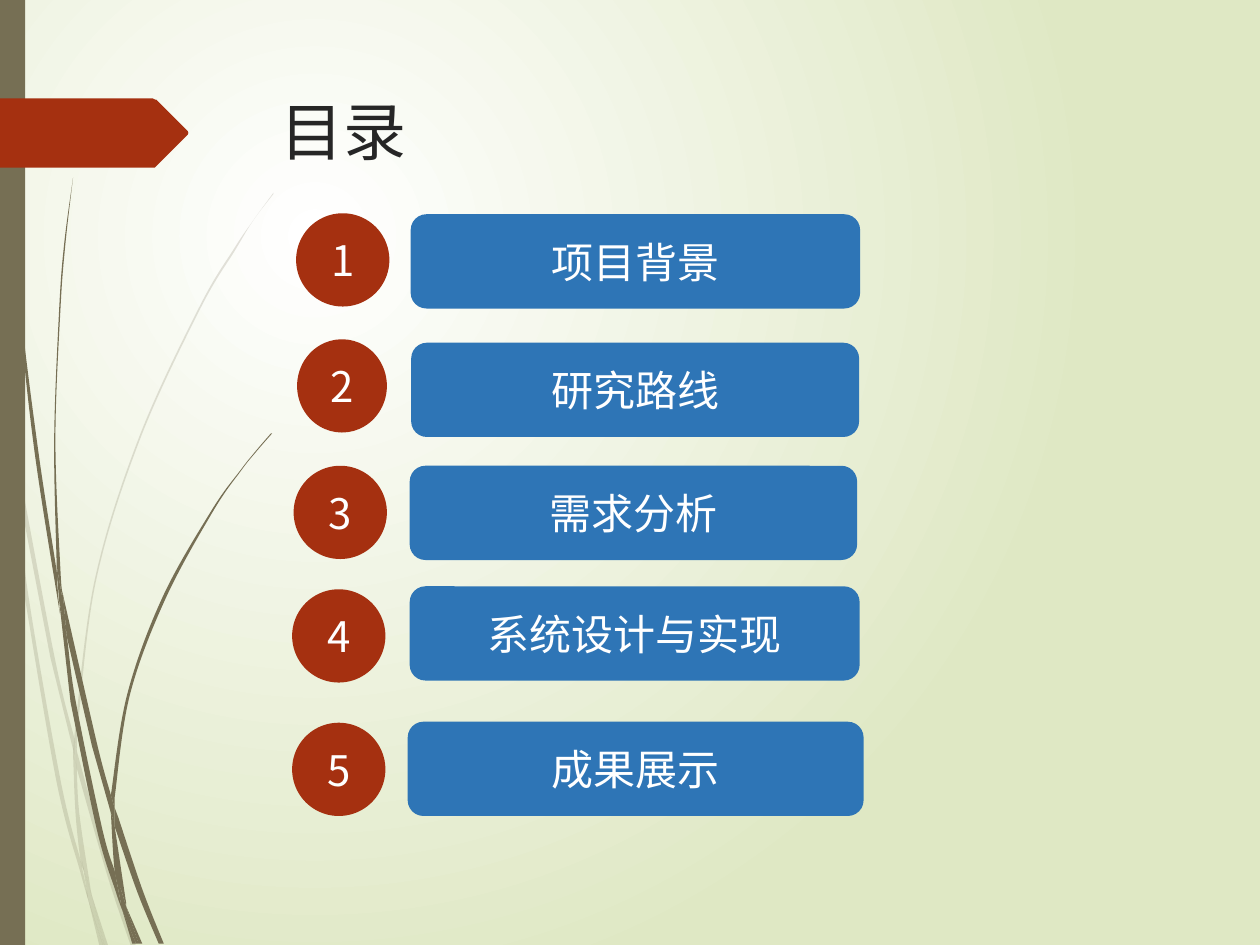
import lxml.etree
import pptx
import pptx.dml.color
import pptx.enum.shapes
import pptx.enum.text
import pptx.oxml.ns
import pptx.util

Cm = pptx.util.Cm
SHAPES = pptx.enum.shapes.MSO_SHAPE
qn = pptx.oxml.ns.qn

RED, BLUE, BROWN, WHITE, INK = "A53010", "2E75B6", "766F54", "FFFFFF", "262626"
BODY_FONT, TITLE_FONT = "Noto Sans CJK SC", "TeX Gyre Adventor"
CM_PER_INCH = 2.54

# Agenda: label, circle (left, top, width), bar (left, top, width), in cm
AGENDA = [
    ("项目背景", (5.97, 4.3, 1.88), (8.28, 4.32, 9.06)),
    ("研究路线", (5.99, 6.84, 1.81), (8.29, 6.91, 9.03)),
    ("需求分析", (5.92, 9.39, 1.88), (8.26, 9.39, 9.02)),
    ("系统设计与实现", (5.89, 11.88, 1.88), (8.26, 11.82, 9.07)),
    ("成果展示", (5.89, 14.57, 1.88), (8.22, 14.55, 9.19)),
]
CIRCLE_HEIGHT, BAR_HEIGHT = 1.88, 1.9

# Grass blades: each is a list of smooth edges, points in inches
PALE_BLADES = [
    [[(0.08, 3.5), (0.06, 3.22), (0, 2.82)], [(0, 2.99), (0.07, 3.44)]],
    [[(0.4, 5.22), (0.59, 5.99)], [(0.59, 5.86), (0.43, 5.2), (0.1, 3.45)],
     [(0.12, 3.76), (0.4, 5.22)]],
    [[(0.64, 6.07), (0.61, 5.96)], [(0.61, 6.1), (0.85, 6.94), (1.04, 7.51)],
     [(1.08, 7.51), (0.88, 6.92), (0.64, 6.07)]],
    [[(0.83, 7.51)], [(0.86, 7.51), (0.73, 7.11)]],
    [[(0.64, 6.83), (0.48, 6.19), (0.22, 4.69), (0.12, 3.76), (0.08, 3.5)],
     [(0.19, 4.7), (0.45, 6.21), (0.64, 6.93), (0.7, 7.14)], [(0.69, 7.07)]],
    [[(0.58, 5.99), (0.6, 6.46), (0.64, 6.83), (0.67, 6.92), (0.73, 7.11)],
     [(0.72, 7.06), (0.63, 6.46), (0.61, 6.1)], [(0.61, 6.08)]],
    [[(0.61, 5.84), (0.76, 4.62), (1.11, 3.49), (1.59, 2.45), (1.87, 1.98),
      (2.01, 1.75), (2.17, 1.54)],
     [(2.17, 1.53), (2.01, 1.75), (1.86, 1.97), (1.58, 2.44), (1.1, 3.48),
      (0.75, 4.61), (0.59, 5.84)], [(0.59, 5.86), (0.61, 5.96)]],
    [[(0.7, 7.14), (0.79, 7.51)], [(0.82, 7.51)]],
    [[(0.61, 6.08), (0.61, 6.1)], [(0.61, 5.96), (0.59, 5.86)], [(0.58, 5.99)]],
    [[(0.67, 6.92), (0.65, 6.83)], [(0.69, 7.07), (0.7, 7.14), (0.82, 7.51)],
     [(0.83, 7.51), (0.73, 7.11)]],
]
DARK_BLADES = [
    [[(0.05, 1.1), (0.14, 2.33), (0.27, 3.55), (0.46, 4.77), (0.47, 4.81)],
     [(0.45, 4.57), (0.45, 4.53), (0.3, 3.55), (0.15, 2.32), (0.06, 1.09),
      (0.04, 0.48), (0.03, 0)], [(0.02, 0), (0.03, 0.48), (0.05, 1.1)]],
    [[(0.73, 5.92), (0.88, 6.45)],
     [(0.88, 6.33), (0.88, 6.31), (0.77, 5.9), (0.5, 4.72)],
     [(0.53, 5.05), (0.73, 5.92)]],
    [[(0.94, 6.49), (0.91, 6.41)], [(0.91, 6.56), (1.09, 7.08), (1.26, 7.49)],
     [(1.3, 7.49), (1.13, 7.06), (0.94, 6.49)]],
    [[(0.91, 6.91), (0.81, 6.57), (0.6, 5.56), (0.53, 5.05), (0.47, 4.77)],
     [(0.56, 5.57), (0.77, 6.59), (0.92, 7.08), (0.97, 7.22)], [(0.96, 7.17)]],
    [[(0.5, 4.72), (0.48, 4.53), (0.44, 3.49), (0.48, 2.45), (0.52, 1.93),
      (0.58, 1.41)],
     [(0.58, 1.41), (0.51, 1.93), (0.47, 2.45), (0.43, 3.49), (0.45, 4.49)],
     [(0.49, 4.72)]],
    [[(1.1, 7.49)], [(1.13, 7.49), (1, 7.19)]],
    [[(0.47, 4.77), (0.53, 5.05)], [(0.5, 4.72)], [(0.49, 4.72), (0.45, 4.49)],
     [(0.45, 4.53)]],
    [[(0.91, 6.33), (1.03, 5.52), (1.31, 4.76), (1.69, 4.06), (1.91, 3.74),
      (2.03, 3.59), (2.16, 3.44)],
     [(2.15, 3.44), (2.03, 3.58), (1.91, 3.73), (1.68, 4.05), (1.29, 4.74),
      (1.01, 5.51), (0.88, 6.31)], [(0.91, 6.41)]],
    [[(0.97, 7.22), (1.05, 7.49)], [(1.08, 7.49)]],
    [[(0.88, 6.45), (0.91, 6.91), (0.96, 7.06), (1, 7.19)],
     [(1, 7.16), (0.91, 6.56), (0.9, 6.51)]],
    [[(0.88, 6.45), (0.9, 6.51), (0.91, 6.56)], [(0.91, 6.41), (0.88, 6.31)]],
    [[(0.96, 7.06), (0.91, 6.91)], [(0.96, 7.17), (0.97, 7.22), (1.08, 7.49)],
     [(1.1, 7.49), (1, 7.19)]],
]
POINTER = [[(1.49, 1.07)], [(1.24, 1.32), (1.23, 1.33), (1.21, 1.33)],
           [(0, 1.33)], [(0, 0.78)], [(1.21, 0.78), (1.23, 0.79), (1.24, 0.79)],
           [(1.49, 1.04), (1.495, 1.055), (1.49, 1.07)]]


def color(value):
    return pptx.dml.color.RGBColor.from_string(value)


def paint(shape, fill):
    shape.shadow.inherit = False
    shape.fill.solid()
    shape.fill.fore_color.rgb = color(fill)
    shape.line.fill.background()


def add_shape(page, kind, left, top, width, height, fill):
    shape = page.shapes.add_shape(kind, Cm(left), Cm(top), Cm(width), Cm(height))
    paint(shape, fill)
    return shape


def write(shape, text, size, name, ink):
    frame = shape.text_frame
    frame.word_wrap = True
    frame.text = text
    span = frame.paragraphs[0].runs[0]
    span.font.size = pptx.util.Pt(size)
    span.font.name = name
    span.font.color.rgb = color(ink)
    east_asian = lxml.etree.SubElement(span.font._element, qn("a:ea"))
    east_asian.set("typeface", BODY_FONT)


def write_centred(shape, text):
    write(shape, text, 24, BODY_FONT, WHITE)
    shape.text_frame.vertical_anchor = pptx.enum.text.MSO_ANCHOR.MIDDLE
    shape.text_frame.paragraphs[0].alignment = pptx.enum.text.PP_ALIGN.CENTER


def along(start, end, share):
    return tuple(a + (b - a) * share for a, b in zip(start, end))


def curve_points(edge):
    """Two control points and an end point for each segment of a smooth edge."""
    padded = [edge[0], *edge, edge[-1]]
    points = []
    for before, start, end, after in zip(padded, padded[1:], padded[2:], padded[3:]):
        points.append(tuple(s + (e - b) / 6 for b, s, e in zip(before, start, end)))
        points.append(tuple(e - (a - s) / 6 for s, e, a in zip(start, end, after)))
        points.append(end)
    return points


def add_outline(page, edges, fill, opacity=100):
    points = [edges[0][0]]
    for edge in edges:
        if edge[0] != points[-1]:
            points += [along(points[-1], edge[0], share) for share in (1 / 3, 2 / 3, 1)]
        points += curve_points(edge)
    vertices = [(Cm(x * CM_PER_INCH), Cm(y * CM_PER_INCH)) for x, y in points]
    builder = page.shapes.build_freeform(*vertices[0])
    builder.add_line_segments(vertices[1:], close=True)
    shape = builder.convert_to_shape()
    paint(shape, fill)

    # Every three line ends become one Bezier segment
    lines = list(shape._element.iter(qn("a:lnTo")))
    for first, second, third in zip(lines[::3], lines[1::3], lines[2::3]):
        first.tag = qn("a:cubicBezTo")
        for line in (second, third):
            first.append(line[0])
            line.getparent().remove(line)
    if opacity < 100:
        tint = shape._element.spPr.find(".//" + qn("a:srgbClr"))
        lxml.etree.SubElement(tint, qn("a:alpha")).set("val", str(opacity * 1000))


def set_background(page):
    fill = page.background.fill
    fill.gradient()
    for stop, value in zip(fill.gradient_stops, (WHITE, "DFE8C4")):
        stop.color.rgb = color(value)
    gradient = page._element.find(".//" + qn("a:gradFill"))
    circle = lxml.etree.Element(qn("a:path"), {"path": "circle"})
    lxml.etree.SubElement(circle, qn("a:fillToRect"),
                          {"l": "50000", "t": "50000", "r": "100000", "b": "100000"})
    gradient.replace(gradient.find(qn("a:lin")), circle)


def main():
    deck = pptx.Presentation()
    deck.slide_width, deck.slide_height = Cm(25.4), Cm(19.05)
    page = deck.slides.add_slide(deck.slide_layouts[6])
    set_background(page)

    # Grass, side strip and pointer
    for opacity, blades in ((20, PALE_BLADES), (100, DARK_BLADES)):
        for blade in blades:
            add_outline(page, blade, BROWN, opacity)
    add_shape(page, SHAPES.RECTANGLE, 0, 0, 0.51, 19.05, BROWN)
    add_outline(page, POINTER, RED)

    # Title
    title = page.shapes.add_textbox(Cm(5.41), Cm(1.75), Cm(18.31), Cm(3.56))
    write(title, "目录", 36, TITLE_FONT, INK)

    # Numbered agenda
    for number, (label, circle, bar) in enumerate(AGENDA, 1):
        badge = add_shape(page, SHAPES.OVAL, *circle, CIRCLE_HEIGHT, RED)
        write_centred(badge, str(number))
        box = add_shape(page, SHAPES.ROUNDED_RECTANGLE, *bar, BAR_HEIGHT, BLUE)
        write_centred(box, label)

    deck.save("out.pptx")


if __name__ == "__main__":
    main()
